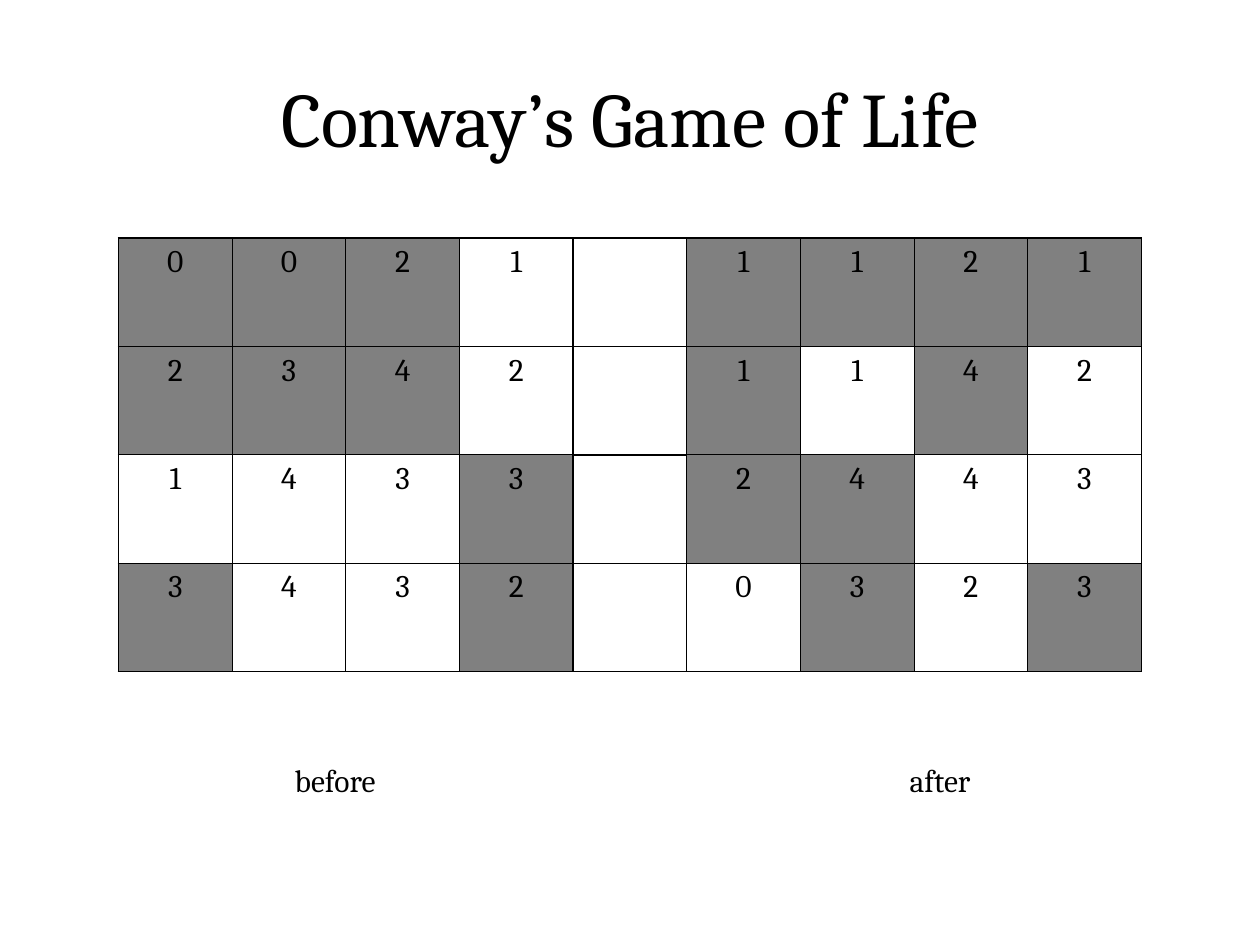
import pptx
import pptx.dml.color
import pptx.enum.text
import pptx.oxml.ns
import pptx.util
import lxml.etree
from dataclasses import dataclass

Inches = pptx.util.Inches
Pt = pptx.util.Pt
ALIGN = pptx.enum.text.PP_ALIGN
ANCHOR = pptx.enum.text.MSO_ANCHOR

# Content: neighbour counts, and live cells marked with #
TITLE = "Conway’s Game of Life"
BEFORE = [("0021", "###."), ("2342", "###."), ("1433", "...#"), ("3432", "#..#")]
AFTER = [("1121", "####"), ("1142", "#.#."), ("2443", "##.."), ("0323", ".#.#")]
LABELS = [("before", 2.24, 0.89), ("after", 7.12, 0.71)]


@dataclass
class Theme:
    font: str = "Cambria"
    ink: str = "000000"
    live: str = "808080"
    empty: str = "FFFFFF"
    title_size: int = 44
    text_size: int = 18
    thin: float = 0.51
    thick: float = 0.96


theme = Theme()


def color(code):
    return pptx.dml.color.RGBColor.from_string(code)


def write(frame, text, size, align):
    para = frame.paragraphs[0]
    para.alignment = align
    span = para.add_run()
    span.text = text
    span.font.name = theme.font
    span.font.size = Pt(size)
    span.font.color.rgb = color(theme.ink)


def draw_borders(cell, widths):
    props = cell._tc.get_or_add_tcPr()
    qn = pptx.oxml.ns.qn
    for side in "LRTB":
        line = lxml.etree.SubElement(props, qn(f"a:ln{side}"), w=str(int(Pt(widths[side]))))
        fill = lxml.etree.SubElement(line, qn("a:solidFill"))
        lxml.etree.SubElement(fill, qn("a:srgbClr"), val=theme.ink)


deck = pptx.Presentation()
deck.slide_width, deck.slide_height = Inches(10), Inches(7.5)
page = deck.slides.add_slide(deck.slide_layouts[5])

# Title
title = page.shapes.title
title.left, title.top = Inches(0.5), Inches(0.3)
title.width, title.height = Inches(9), Inches(1.25)
title.text_frame.vertical_anchor = ANCHOR.MIDDLE
write(title.text_frame, TITLE, theme.title_size, ALIGN.CENTER)

# Both boards share one table, with an empty column between them
side_count = len(BEFORE[0][0])
gap = side_count
row_count, column_count = len(BEFORE), 2 * side_count + 1
board = page.shapes.add_table(row_count, column_count, Inches(0.94), Inches(1.89),
                              Inches(8.12), Inches(3.44)).table
board.first_row = board.horz_banding = False
thick_columns = {0, gap, gap + 1, column_count}

for row, ((old, old_live), (new, new_live)) in enumerate(zip(BEFORE, AFTER)):
    counts, states = f"{old} {new}", f"{old_live}.{new_live}"
    for column, (count, state) in enumerate(zip(counts, states)):
        cell = board.cell(row, column)
        thick_rows = {0, row_count} | ({row_count // 2} if column == gap else set())
        edges = {"L": column in thick_columns, "R": column + 1 in thick_columns,
                 "T": row in thick_rows, "B": row + 1 in thick_rows}
        draw_borders(cell, {side: theme.thick if heavy else theme.thin
                            for side, heavy in edges.items()})
        cell.fill.solid()
        cell.fill.fore_color.rgb = color(theme.live if state == "#" else theme.empty)
        cell.margin_left = cell.margin_right = Inches(0.01)
        cell.margin_top = cell.margin_bottom = Inches(0.05)
        if column != gap:
            write(cell.text_frame, count, theme.text_size, ALIGN.CENTER)

# Labels under the boards
for text, left, width in LABELS:
    box = page.shapes.add_textbox(Inches(left), Inches(5.99), Inches(width), Inches(0.4))
    box.text_frame.word_wrap = False
    write(box.text_frame, text, theme.text_size, ALIGN.LEFT)

deck.save("out.pptx")
